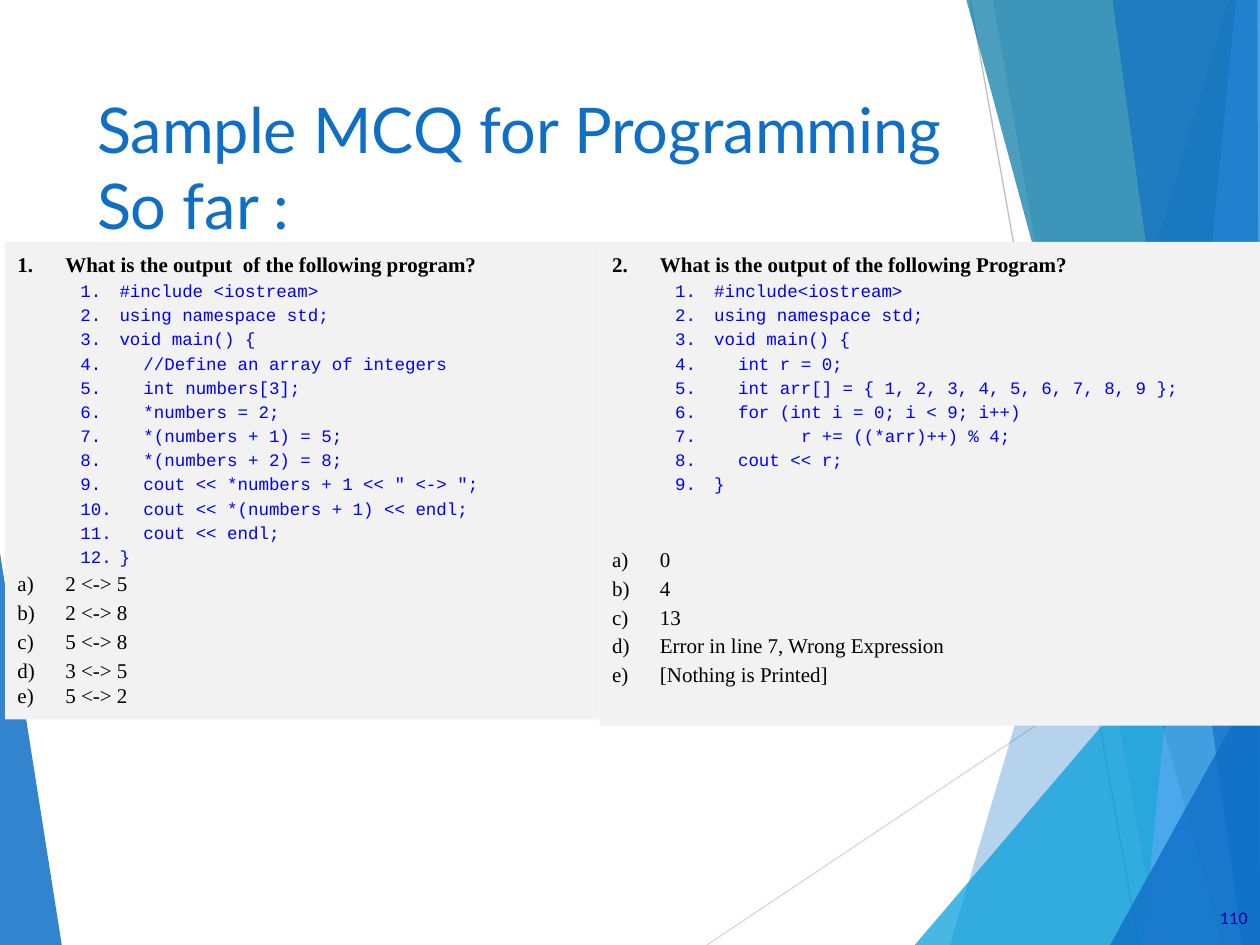
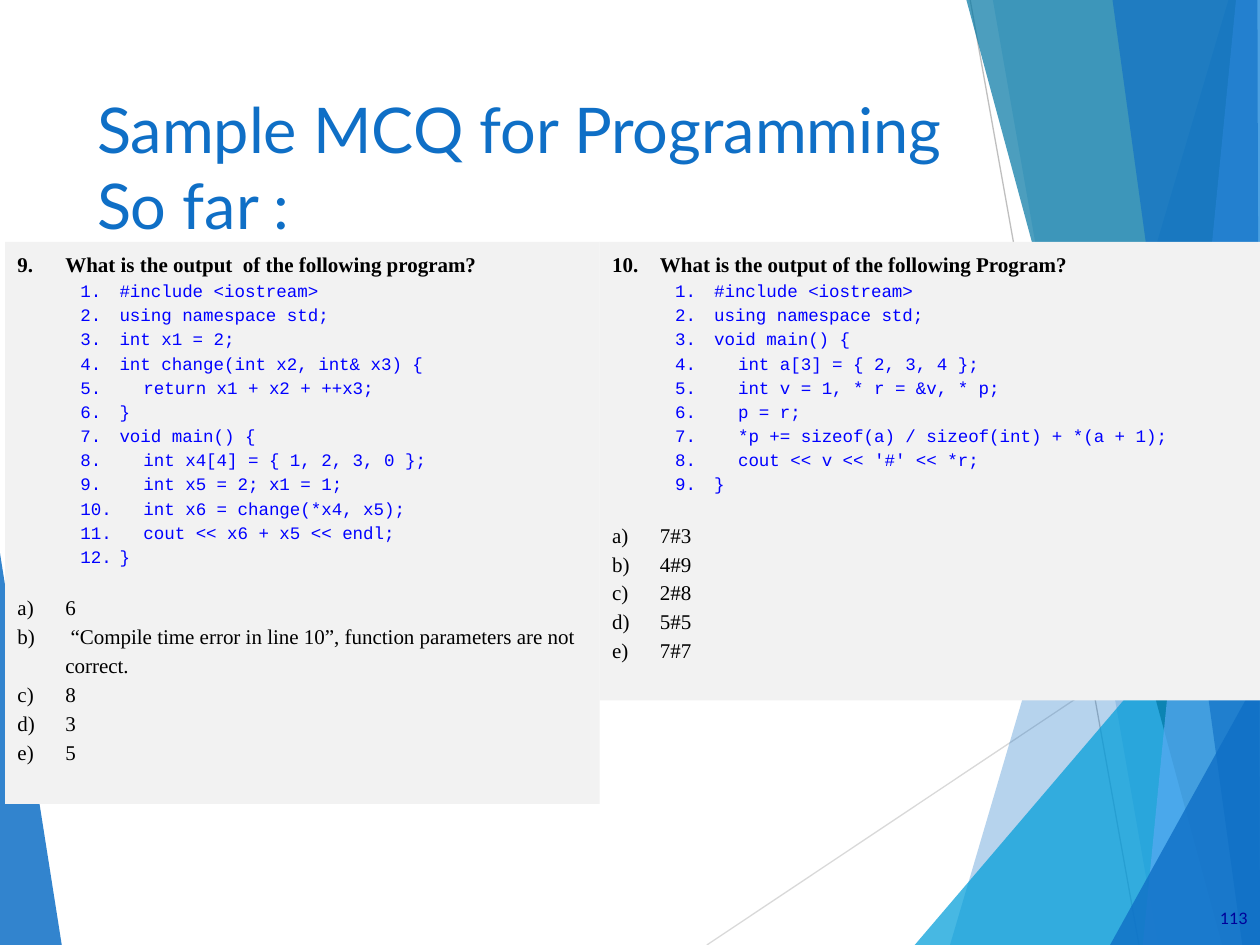
"""Build two multiple-choice question slides on C++ programs."""
import lxml.etree
import pptx
import pptx.dml.color
import pptx.enum.shapes
import pptx.enum.text
import pptx.oxml.ns
import pptx.util

Inches = pptx.util.Inches
Pt = pptx.util.Pt
qn = pptx.oxml.ns.qn
PP_ALIGN = pptx.enum.text.PP_ALIGN
MSO_ANCHOR = pptx.enum.text.MSO_ANCHOR

BLUE = "0F6FC6"
TITLE = "Sample MCQ for Programming So far :"
TITLE_FONT = {"name": "Lato", "size": Pt(36), "color": BLUE}
NUMBER_FONT = {"name": "Lato", "size": Pt(9), "color": "000099"}
QUESTION_FONT = {"name": "Times New Roman", "size": Pt(12), "bold": True, "color": "000000"}
OPTION_FONT = {**QUESTION_FONT, "bold": False}
CODE_FONT = {"name": "Courier New", "size": Pt(10), "bold": False, "color": "0000FF"}
TEXT_LINE, CODE_LINE = 16.5, 13.8

RAYS = [("D9D9D9", (5.61, 7.5), (10, 4.57)), ("BFBFBF", (7.7, 0), (9.04, 7.5))]
FACETS = [
    (BLUE, 85, [(0, 4.39), (0.49, 7.5), (0, 7.5)]),
    (BLUE, 30, [(9.75, 0), (7.54, 7.5), (10, 7.5), (10, 0)]),
    (BLUE, 20, [(7.88, 0), (9.19, 7.5), (10, 7.5), (10, 0)]),
    ("009DD9", 72, [(7.26, 7.5), (10, 4.29), (10, 7.5)]),
    ("0076A3", 70, [(7.67, 0), (9.7, 7.5), (10, 7.5), (10, 0)]),
    ("59AAF2", 70, [(9.81, 0), (9.07, 7.5), (10, 7.5), (10, 0)]),
    (BLUE, 65, [(8.83, 0), (9.86, 7.5), (10, 7.5), (9.98, 0)]),
    (BLUE, 80, [(8.81, 7.5), (10, 5.35), (10, 7.5)]),
]

LEFT_QUESTION = "What is the output  of the following program?"
RIGHT_QUESTION = "What is the output of the following Program?"
SLIDES = [
    {
        "page": "110",
        "questions": [
            {
                "start": 1, "height": 3.79, "gap_lines": 0, "last_line": 14.4,
                "code": [
                    "#include <iostream>",
                    "using namespace std;",
                    "void main() {",
                    "\t//Define an array of integers",
                    "\tint numbers[3];",
                    "\t*numbers = 2;",
                    "\t*(numbers + 1) = 5;",
                    "\t*(numbers + 2) = 8;",
                    '\tcout << *numbers + 1 << " <-> ";',
                    "\tcout << *(numbers + 1) << endl;",
                    "\tcout << endl;",
                    "}",
                ],
                "options": ["2 <-> 5", "2 <-> 8", "5 <-> 8", "3 <-> 5", "5 <-> 2"],
            },
            {
                "start": 2, "height": 3.84, "gap_lines": 2,
                "code": [
                    "#include<iostream>",
                    "using namespace std;",
                    "void main() {",
                    "\tint r = 0;",
                    "\tint arr[] = { 1, 2, 3, 4, 5, 6, 7, 8, 9 };",
                    "\tfor (int i = 0; i < 9; i++)",
                    "\t\tr += ((*arr)++) % 4;",
                    "\tcout << r;",
                    "}",
                ],
                "options": ["0", "4", "13", "Error in line 7, Wrong Expression",
                            "[Nothing is Printed]"],
            },
        ],
    },
    {
        "page": "113",
        "questions": [
            {
                "start": 9, "height": 4.46, "gap_lines": 1,
                "code": [
                    "#include <iostream>",
                    "using namespace std;",
                    "int x1 = 2;",
                    "int change(int x2, int& x3) {",
                    "\treturn x1 + x2 + ++x3;",
                    "}",
                    "void main() {",
                    "\tint x4[4] = { 1, 2, 3, 0 };",
                    "\tint x5 = 2; x1 = 1;",
                    "\tint x6 = change(*x4, x5);",
                    "\tcout << x6 + x5 << endl;",
                    "}",
                ],
                "options": [
                    "6",
                    " “Compile time error in line 10”, function parameters are not correct.",
                    "8", "3", "5",
                ],
            },
            {
                "start": 10, "height": 3.64, "gap_lines": 1,
                "code": [
                    "#include <iostream>",
                    "using namespace std;",
                    "void main() {",
                    "\tint a[3] = { 2, 3, 4 };",
                    "\tint v = 1, * r = &v, * p;",
                    "\tp = r;",
                    "\t*p += sizeof(a) / sizeof(int) + *(a + 1);",
                    "\tcout << v << '#' << *r;",
                    "}",
                ],
                "options": ["7#3", "4#9", "2#8", "5#5", "7#7"],
            },
        ],
    },
]


def rgb(value):
    """Turn a hex string into a colour."""
    return pptx.dml.color.RGBColor.from_string(value)


def set_attrs(target, values):
    """Set every attribute named in values on target."""
    for name, value in values.items():
        setattr(target, name, value)


def add_run(p, text, font):
    """Add a formatted run to a paragraph."""
    r = p.add_run()
    r.text = text
    set_attrs(r.font, {k: v for k, v in font.items() if k != "color"})
    r.font.color.rgb = rgb(font["color"])


def fill_shape(sp, color):
    """Give a shape a flat fill without line or shadow."""
    sp.shadow.inherit = False
    sp.fill.solid()
    sp.fill.fore_color.rgb = rgb(color)
    sp.line.fill.background()


def add_ray(s, color, start, end):
    """Draw one thin background line."""
    sp = s.shapes.add_connector(pptx.enum.shapes.MSO_CONNECTOR.STRAIGHT,
                                *(Inches(v) for v in start + end))
    sp.line.color.rgb = rgb(color)
    sp.line.width = Pt(0.75)
    lxml.etree.SubElement(sp.element.spPr, qn("a:effectLst"))
    return sp


def add_facet(s, color, opacity, points):
    """Draw one translucent background polygon."""
    first, *rest = [(Inches(x), Inches(y)) for x, y in points]
    builder = s.shapes.build_freeform(*first)
    builder.add_line_segments(rest, close=True)
    sp = builder.convert_to_shape()
    fill_shape(sp, color)
    clr = sp.element.spPr.find(qn("a:solidFill")).find(qn("a:srgbClr"))
    lxml.etree.SubElement(clr, qn("a:alpha"), val=str(opacity * 1000))
    return sp


def decorate_layout(layout, s):
    """Draw the background art and move it behind the layout's placeholders."""
    art = [add_facet(s, *FACETS[0])]
    art += [add_ray(s, *ray) for ray in RAYS]
    art += [add_facet(s, *facet) for facet in FACETS[1:]]
    for i, sp in enumerate(art):
        layout.shapes.element.insert(2 + i, sp.element)


def add_title(s):
    """Fill and format the title placeholder."""
    sp = s.shapes.title
    set_attrs(sp, {"left": Inches(0.67), "top": Inches(0.67),
                   "width": Inches(6.94), "height": Inches(1.44)})
    tf = sp.text_frame
    set_attrs(tf, {"word_wrap": True, "vertical_anchor": MSO_ANCHOR.TOP,
                   "auto_size": pptx.enum.text.MSO_AUTO_SIZE.NONE})
    p = tf.paragraphs[0]
    p.alignment = PP_ALIGN.LEFT
    add_run(p, TITLE, TITLE_FONT)


def add_numbered(tf, text, font, line, level=0, scheme="arabicPeriod", start=1, before=0):
    """Add one automatically numbered paragraph."""
    p = tf.paragraphs[0] if not tf.paragraphs[0].runs else tf.add_paragraph()
    set_attrs(p, {"level": level, "alignment": PP_ALIGN.LEFT, "line_spacing": Pt(line)})
    if before:
        p.space_before = Pt(before)
    margin, indent = [(0.38, -0.38), (0.81, -0.31)][level]
    pPr = p._p.get_or_add_pPr()
    pPr.set("marL", str(Inches(margin)))
    pPr.set("indent", str(Inches(indent)))
    bullet = lxml.etree.SubElement(pPr, qn("a:buAutoNum"), type=scheme)
    if start > 1:
        bullet.set("startAt", str(start))
    add_run(p, text, font)


def add_question(s, left, width, title, question):
    """Add a panel with a question, its program and its options."""
    sp = s.shapes.add_shape(pptx.enum.shapes.MSO_SHAPE.RECTANGLE, Inches(left), Inches(1.92),
                            Inches(width), Inches(question["height"]))
    fill_shape(sp, "F2F2F2")
    tf = sp.text_frame
    set_attrs(tf, {"word_wrap": True, "vertical_anchor": MSO_ANCHOR.TOP})
    add_numbered(tf, title, QUESTION_FONT, TEXT_LINE, start=question["start"])
    for code in question["code"]:
        add_numbered(tf, code, CODE_FONT, CODE_LINE, level=1)
    *options, last = question["options"]
    for i, option in enumerate(options):
        gap = question["gap_lines"] * CODE_LINE if i == 0 else 0
        add_numbered(tf, option, OPTION_FONT, TEXT_LINE, scheme="alphaLcParenR", before=gap)
    add_numbered(tf, last, OPTION_FONT, question.get("last_line", TEXT_LINE),
                 scheme="alphaLcParenR")


def add_page_number(s, page):
    """Add the page number at the lower right."""
    sp = s.shapes.add_textbox(Inches(9.44), Inches(7.09), Inches(0.56), Inches(0.4))
    tf = sp.text_frame
    set_attrs(tf, {"word_wrap": True, "vertical_anchor": MSO_ANCHOR.MIDDLE})
    p = tf.paragraphs[0]
    p.alignment = PP_ALIGN.RIGHT
    add_run(p, page, NUMBER_FONT)


def main():
    """Build and save the presentation."""
    prs = pptx.Presentation()
    set_attrs(prs, {"slide_width": Inches(10), "slide_height": Inches(7.5)})
    layout = prs.slide_layouts[5]
    for i, content in enumerate(SLIDES):
        s = prs.slides.add_slide(layout)
        if i == 0:
            decorate_layout(layout, s)
        add_title(s)
        left, right = content["questions"]
        add_question(s, 0.04, 4.72, LEFT_QUESTION, left)
        add_question(s, 4.76, 5.24, RIGHT_QUESTION, right)
        add_page_number(s, content["page"])
    prs.save("out.pptx")


if __name__ == "__main__":
    main()
